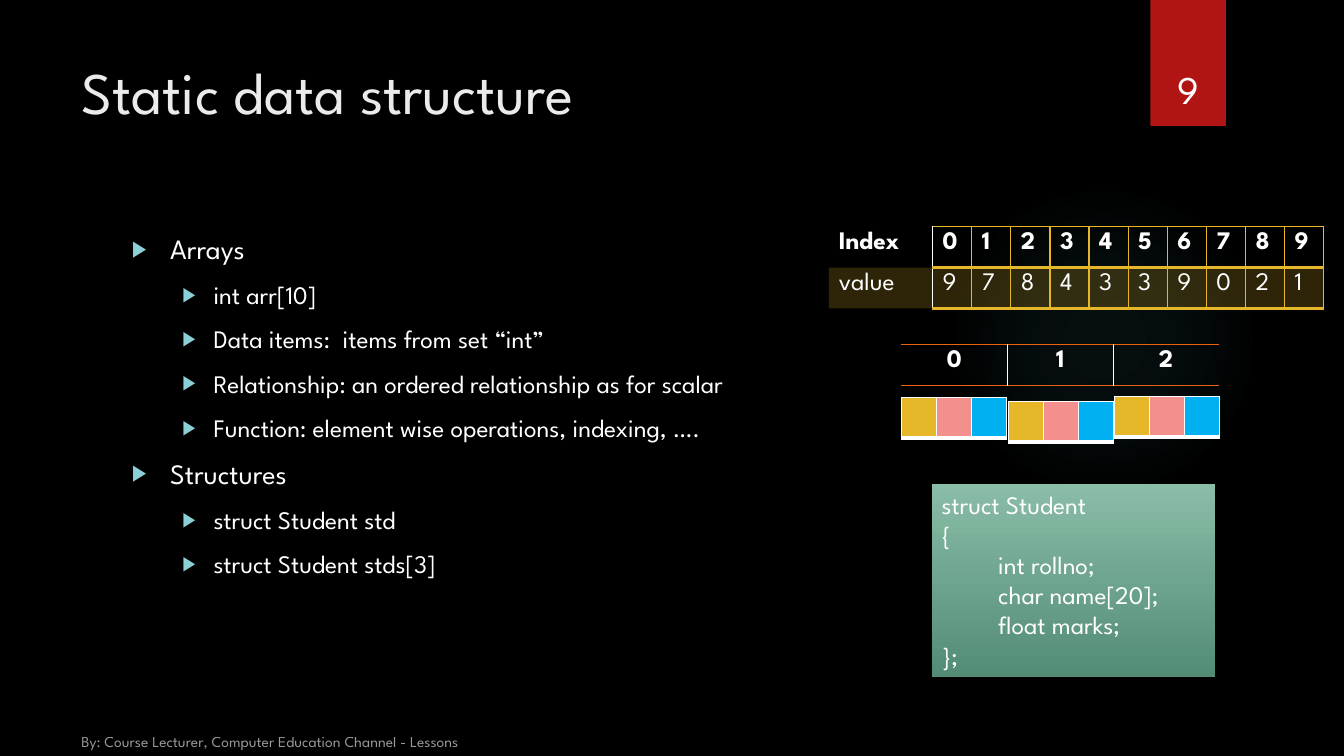
"""Build the slide on static data structures."""
from pptx import Presentation
from pptx import oxml
from pptx import util as u
from pptx.dml.color import RGBColor
from pptx.enum import shapes, text
from pptx.oxml import ns

FONT = "League Spartan"
COLORS = {
    "black": "000000", "white": "FFFFFF", "title": "EBEBEB", "red": "B01513",
    "glow": "50B9C1", "bullet": "8AD0D6", "gold": "E6B729", "pink": "F38F8D",
    "blue": "00B0F0", "orange": "EA6312", "mint": "89BDA7", "green": "538C74",
}
NO_STYLE = "{2D5ABB26-0587-4C30-8999-92F81FD0307C}"
CENTER = text.PP_ALIGN.CENTER
BOTTOM = text.MSO_ANCHOR.BOTTOM
BULLETS = [
    (0, "Arrays"),
    (1, "int arr[10]"),
    (1, "Data items:  items from set “int”"),
    (1, "Relationship: an ordered relationship as for scalar"),
    (1, "Function: element wise operations, indexing, …."),
    (0, "Structures"),
    (1, "struct Student std"),
    (1, "struct Student stds[3]"),
]
CODE = [(0, "struct Student"), (0, "{"), (1, " int rollno;"),
        (1, " char name[20];"), (1, " float marks;"), (0, "};")]
ARRAY = [["Index", *"0123456789"], ["value", *"9784339021"]]


def rgb(name):
    return RGBColor.from_string(COLORS[name])


def xml(tag, body="", attrs=""):
    return oxml.parse_xml(f'<a:{tag} {ns.nsdecls("a")} {attrs}>{body}</a:{tag}>')


def set_alpha(fill_parent, percent):
    """Make the solid colour under an element partly transparent."""
    color = fill_parent.find(".//" + ns.qn("a:srgbClr"))
    color.append(xml("alpha", attrs=f'val="{percent * 1000}"'))


def write(para, content, size=18, color="white", bold=False, align=None, alpha=None):
    """Put one formatted run into a paragraph."""
    span = para.add_run()
    span.text = content
    span.font.name, span.font.size, span.font.bold = FONT, u.Pt(size), bold
    span.font.color.rgb = rgb(color)
    if alpha:
        set_alpha(span.font.fill._xPr, alpha)
    if align is not None:
        para.alignment = align


def add_label(page, place, content, anchor=text.MSO_ANCHOR.TOP, **style):
    box = page.shapes.add_textbox(*map(u.Inches, place))
    box.text_frame.word_wrap = True
    box.text_frame.vertical_anchor = anchor
    write(box.text_frame.paragraphs[0], content, **style)


def next_para(frame, index):
    return frame.add_paragraph() if index else frame.paragraphs[0]


def set_indent(para, left, first=0):
    props = para._p.get_or_add_pPr()
    props.set("marL", str(u.Inches(left)))
    props.set("indent", str(u.Inches(first)))
    return props


def add_bullets(page, place, items):
    """Add the two-level bulleted list."""
    box = page.shapes.add_textbox(*map(u.Inches, place))
    box.text_frame.word_wrap = True
    for index, (level, content) in enumerate(items):
        para = next_para(box.text_frame, index)
        para.level = level
        para.space_before = u.Pt(10)
        left, first, size = [(0.38, -0.38, 20), (0.81, -0.31, 18)][level]
        props = set_indent(para, left, first)
        props.append(xml("buClr", f'<a:srgbClr val="{COLORS["bullet"]}"/>'))
        props.append(xml("buSzPct", attrs='val="80000"'))
        props.append(xml("buFont", attrs='typeface="Arial"'))
        props.append(xml("buChar", attrs='char="▶"'))
        write(para, content, size=size)


def add_block(page, kind, place, color=None):
    block = page.shapes.add_shape(kind, *map(u.Inches, place))
    block.shadow.inherit = False
    block.line.fill.background()
    if color:
        block.fill.solid()
        block.fill.fore_color.rgb = rgb(color)
    return block


def set_gradient(block, stops, direction):
    """Fill a shape with (position, colour, opacity) stops."""
    block.fill.background()
    marks = "".join(
        f'<a:gs pos="{position * 1000}"><a:srgbClr val="{COLORS[color]}">'
        f'<a:alpha val="{opacity * 1000}"/></a:srgbClr></a:gs>'
        for position, color, opacity in stops)
    empty = block._element.spPr.find(ns.qn("a:noFill"))
    empty.getparent().replace(empty, xml("gradFill", f"<a:gsLst>{marks}</a:gsLst>{direction}"))


def add_code(page, place, lines):
    panel = add_block(page, shapes.MSO_SHAPE.RECTANGLE, place)
    set_gradient(panel, [(0, "mint", 100), (100, "green", 100)], '<a:lin ang="5400000"/>')
    panel.text_frame.word_wrap = True
    panel.text_frame.vertical_anchor = text.MSO_ANCHOR.TOP
    for index, (level, content) in enumerate(lines):
        para = next_para(panel.text_frame, index)
        set_indent(para, 0.5 * level)
        write(para, content, align=text.PP_ALIGN.LEFT)


def set_borders(cell, **sides):
    """Set cell borders from side=(colour, points); other sides have none."""
    props = cell._tc.get_or_add_tcPr()
    for index, side in enumerate("LRTB"):
        color, width = sides.get(side, (None, 0))
        body = f'<a:solidFill><a:srgbClr val="{COLORS[color]}"/></a:solidFill>' if color else "<a:noFill/>"
        props.insert(index, xml("ln" + side, body, f'w="{u.Pt(width)}"'))


def add_grid(page, left, top, widths, rows=1):
    """Add an unstyled table and return it."""
    height = 0.405
    frame = page.shapes.add_table(rows, len(widths), u.Inches(left), u.Inches(top),
                                  u.Inches(sum(widths)), u.Inches(height * rows))
    table = frame.table
    table.first_row = table.horz_banding = False
    table._tbl.tblPr.find(ns.qn("a:tableStyleId")).text = NO_STYLE
    for column, width in zip(table.columns, widths):
        column.width = u.Inches(width)
    for row in table.rows:
        row.height = u.Inches(height)
    for cell in table.iter_cells():
        cell.fill.background()
    return table


def add_array(page):
    table = add_grid(page, 8.22, 2.25, [1.03] + [0.388] * 10, rows=2)
    white, gold = ("white", 1), ("gold", 1)
    for row, values in enumerate(ARRAY):
        for column, value in enumerate(values):
            cell = table.cell(row, column)
            write(cell.text_frame.paragraphs[0], value, bold=row == 0)
            if row == 1:
                cell.fill.solid()
                cell.fill.fore_color.rgb = rgb("gold")
                set_alpha(cell._tc.tcPr, 20)
            if column == 0:
                set_borders(cell, R=white)
            else:
                set_borders(cell, L=white if column == 1 else gold, R=gold,
                            T=gold if row == 0 else ("gold", 2),
                            B=("gold", 2))


def add_record(page, left, top):
    """Add one structure drawn as three coloured fields."""
    table = add_grid(page, left, top, [0.348] * 3)
    white = ("white", 1)
    for cell, color in zip(table.iter_cells(), ("gold", "pink", "blue")):
        cell.fill.solid()
        cell.fill.fore_color.rgb = rgb(color)
        set_borders(cell, L=white, R=white, T=white, B=("white", 3))


def add_record_index(page):
    table = add_grid(page, 8.94, 3.42, [1.05] * 3)
    orange, white = ("orange", 1), ("white", 1)
    for index, cell in enumerate(table.iter_cells()):
        write(cell.text_frame.paragraphs[0], str(index), bold=True, align=CENTER)
        sides = {"T": orange, "B": orange}
        if index > 0:
            sides["L"] = white
        if index < 2:
            sides["R"] = white
        set_borders(cell, **sides)


def main():
    deck = Presentation()
    deck.slide_width, deck.slide_height = u.Inches(13.33), u.Inches(7.5)
    page = deck.slides.add_slide(deck.slide_layouts[6])
    page.background.fill.solid()
    page.background.fill.fore_color.rgb = rgb("black")
    glow = add_block(page, shapes.MSO_SHAPE.OVAL, (9.41, 1.83, 3.08, 3.08))
    set_gradient(glow, [(0, "glow", 7), (36, "glow", 6), (69, "glow", 0)],
                 '<a:path path="circle"><a:fillToRect l="50000" t="50000" r="50000" b="50000"/></a:path>')
    add_block(page, shapes.MSO_SHAPE.RECTANGLE, (11.41, 0, 0.75, 1.25), "red")
    add_label(page, (0.71, 0.5, 10.29, 1.53), "Static data structure", size=42, color="title")
    add_bullets(page, (1.21, 2.25, 9.78, 4.59), BULLETS)
    add_label(page, (0.71, 7.17, 4.22, 0.33),
              "By: Course Lecturer, Computer Education Channel - Lessons", BOTTOM, size=11, alpha=60)
    add_label(page, (11.32, 0.32, 0.92, 0.84), "9", BOTTOM, size=28, align=CENTER)
    add_array(page)
    for left, top in [(8.94, 3.94), (11.05, 3.93), (10, 3.98)]:
        add_record(page, left, top)
    add_record_index(page)
    add_code(page, (9.24, 4.8, 2.81, 1.92), CODE)
    deck.save("out.pptx")


if __name__ == "__main__":
    main()
